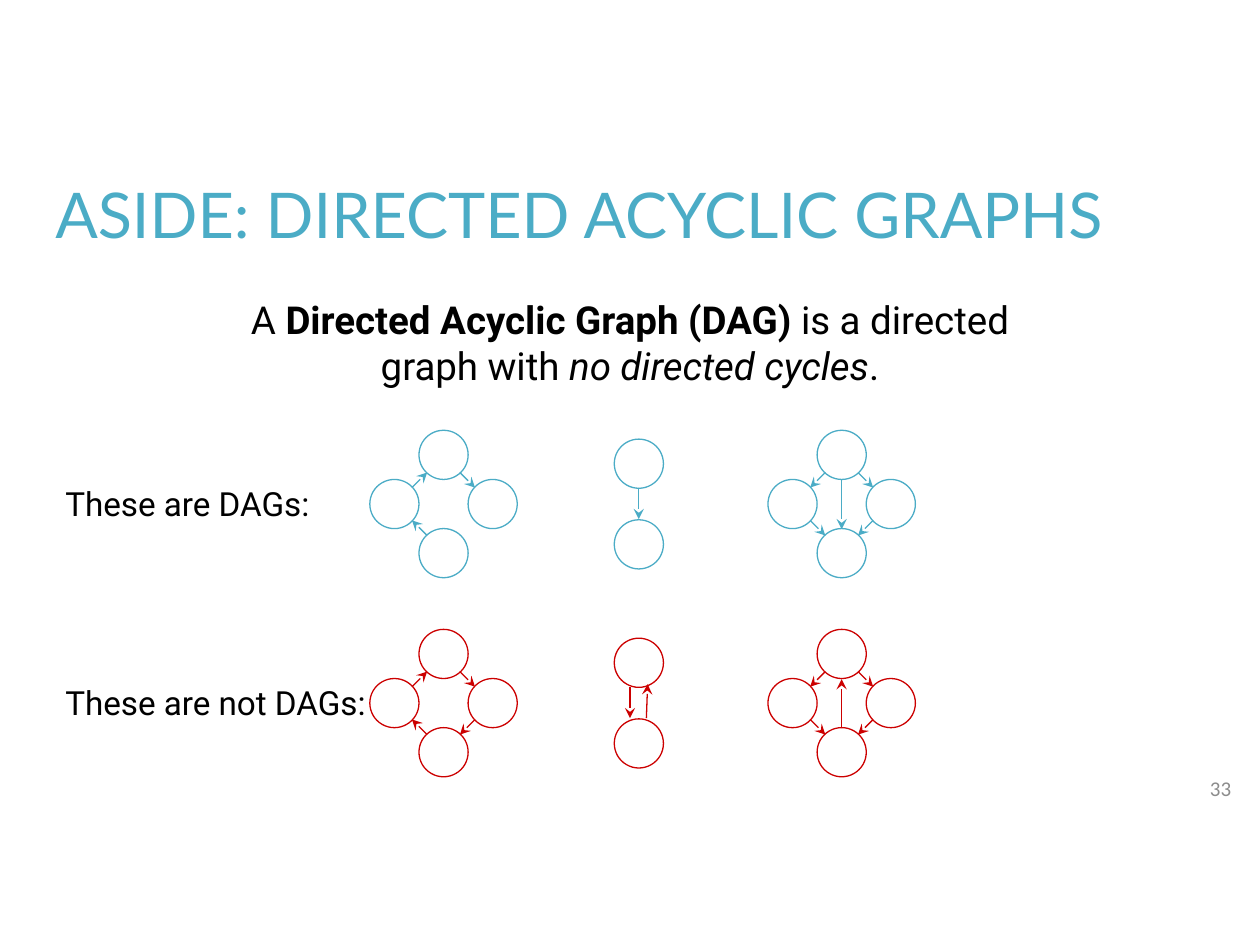
import pptx
import pptx.util
import pptx.dml.color
import pptx.enum.shapes
import pptx.enum.text
import pptx.oxml
import pptx.oxml.ns
from pptx.util import Inches

RGB = pptx.dml.color.RGBColor.from_string
SHAPE = pptx.enum.shapes.MSO_SHAPE
ALIGN = pptx.enum.text.PP_ALIGN

THEME = {
    "accent": RGB("4BACC6"), "cyclic": RGB("CC0000"), "ink": RGB("000000"),
    "muted": RGB("8C8C8C"), "paper": RGB("FFFFFF"),
    "title": 36, "definition": 22, "label": 19, "number": 12, "line": 0.75,
}

deck = pptx.Presentation()
deck.slide_width, deck.slide_height = Inches(10), Inches(7.5)
slide = deck.slides.add_slide(deck.slide_layouts[6])


def write(holder, runs, size, font, color, align=ALIGN.LEFT):
    """Fill a shape with (text, bold, italic) runs."""
    frame = holder.text_frame
    frame.word_wrap = True
    frame.vertical_anchor = pptx.enum.text.MSO_ANCHOR.MIDDLE
    frame.margin_left = frame.margin_right = Inches(0.1)
    frame.margin_top = frame.margin_bottom = Inches(0.1)
    paragraph = frame.paragraphs[0]
    paragraph.alignment = align
    for text, bold, italic in runs:
        run = paragraph.add_run()
        run.text = text
        run.font.name, run.font.size = font, pptx.util.Pt(size)
        run.font.bold, run.font.italic = bold, italic
        run.font.color.rgb = color


def add_edge(start, end, color):
    """Draw a directed edge between two points."""
    edge = slide.shapes.add_connector(
        pptx.enum.shapes.MSO_CONNECTOR.STRAIGHT,
        *[Inches(value) for value in (*start, *end)])
    edge.line.color.rgb = color
    edge.line.width = pptx.util.Pt(THEME["line"])
    namespace = pptx.oxml.ns.nsdecls("a")
    edge.line._get_or_add_ln().append(
        pptx.oxml.parse_xml(f'<a:tailEnd {namespace} type="stealth"/>'))
    edge._element.spPr.append(pptx.oxml.parse_xml(f"<a:effectLst {namespace}/>"))


# Title and slide number
title = slide.shapes.add_textbox(Inches(0.34), Inches(1.34), Inches(9.32), Inches(0.71))
write(title, [("ASIDE: DIRECTED ACYCLIC GRAPHS", False, False)],
      THEME["title"], "Lato", THEME["accent"])
number = slide.shapes.add_textbox(Inches(9.27), Inches(6.04), Inches(0.6), Inches(0.43))
write(number, [("33", False, False)], THEME["number"], "Calibri", THEME["muted"], ALIGN.RIGHT)

# Definition
definition = slide.shapes.add_shape(
    SHAPE.ROUNDED_RECTANGLE, Inches(1.56), Inches(2.23), Inches(6.88), Inches(0.97))
definition.shadow.inherit = False
definition.fill.solid()
definition.fill.fore_color.rgb = THEME["paper"]
definition.line.fill.background()
write(definition, [
    ("A ", False, False),
    ("Directed Acyclic Graph (DAG)", True, False),
    (" is a directed graph with ", False, False),
    ("no directed cycles", False, True),
    (".", False, False),
], THEME["definition"], "Roboto", THEME["ink"], ALIGN.CENTER)

# Graph geometry: offsets from each graph's centre
NODE = 0.39
DIAMOND = [(-NODE, 0), (NODE, 0), (0, -NODE), (0, NODE)]
PAIR = [(0, -0.32), (0, 0.32)]
NEAR, FAR = 0.13, 0.25

# Edges as (start, end) offsets
left_to_top = ((-FAR, -NEAR), (-NEAR, -FAR))
top_to_left = left_to_top[::-1]
top_to_right = ((NEAR, -FAR), (FAR, -NEAR))
right_to_bottom = ((FAR, NEAR), (NEAR, FAR))
bottom_to_left = ((-NEAR, FAR), (-FAR, NEAR))
left_to_bottom = bottom_to_left[::-1]
top_to_bottom = ((0, -0.19), (0, 0.2))
bottom_to_top = top_to_bottom[::-1]

ring = [left_to_top, top_to_right, bottom_to_left]
fan = [top_to_left, top_to_right, left_to_bottom, right_to_bottom]
RING_X, PAIR_X, FAN_X = 3.52, 5.07, 6.68

rows = [
    ("These are DAGs:", 2.62, 4.0, THEME["accent"], [
        (RING_X, DIAMOND, ring),
        (PAIR_X, PAIR, [((0, -0.13), (0, 0.12))]),
        (FAN_X, DIAMOND, fan + [top_to_bottom]),
    ]),
    ("These are not DAGs:", 2.9, 5.58, THEME["cyclic"], [
        (RING_X, DIAMOND, ring + [right_to_bottom]),
        (PAIR_X, PAIR, [((-0.07, -0.13), (-0.07, 0.12)), ((0.06, 0.12), (0.07, -0.15))]),
        (FAN_X, DIAMOND, fan + [bottom_to_top]),
    ]),
]

# Rows of example graphs with their labels
for caption, caption_width, center_y, color, graphs in rows:
    for center_x, nodes, edges in graphs:
        for dx, dy in nodes:
            node = slide.shapes.add_shape(
                SHAPE.OVAL, Inches(center_x + dx - NODE / 2),
                Inches(center_y + dy - NODE / 2), Inches(NODE), Inches(NODE))
            node.shadow.inherit = False
            node.fill.solid()
            node.fill.fore_color.rgb = THEME["paper"]
            node.line.color.rgb = color
            node.line.width = pptx.util.Pt(THEME["line"])
        for edge_ends in edges:
            start, end = [(center_x + dx, center_y + dy) for dx, dy in edge_ends]
            add_edge(start, end, color)
    label = slide.shapes.add_textbox(
        Inches(0.42), Inches(center_y - 0.42), Inches(caption_width), Inches(0.83))
    write(label, [(caption, False, False)], THEME["label"], "Roboto", THEME["ink"])

deck.save("out.pptx")
